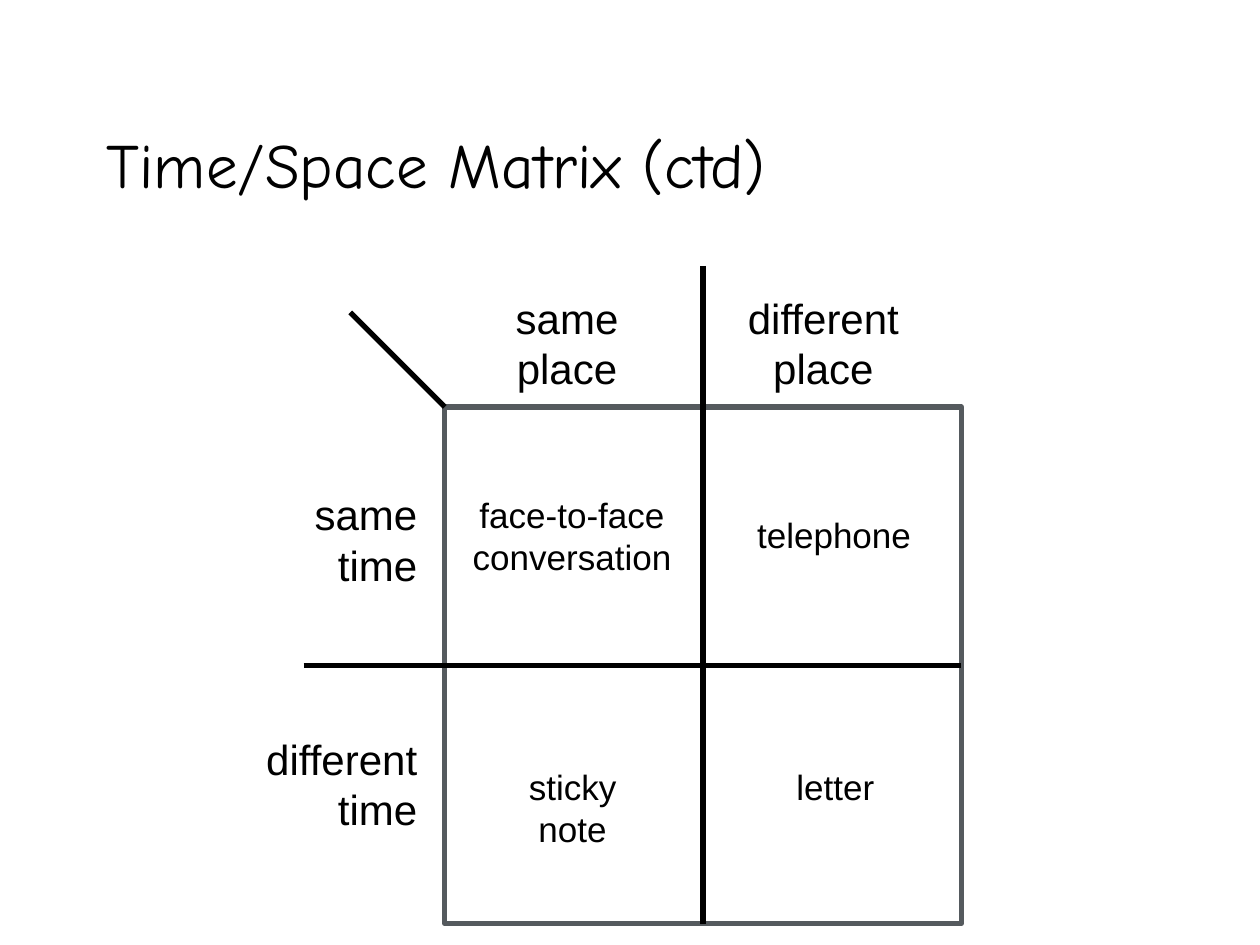
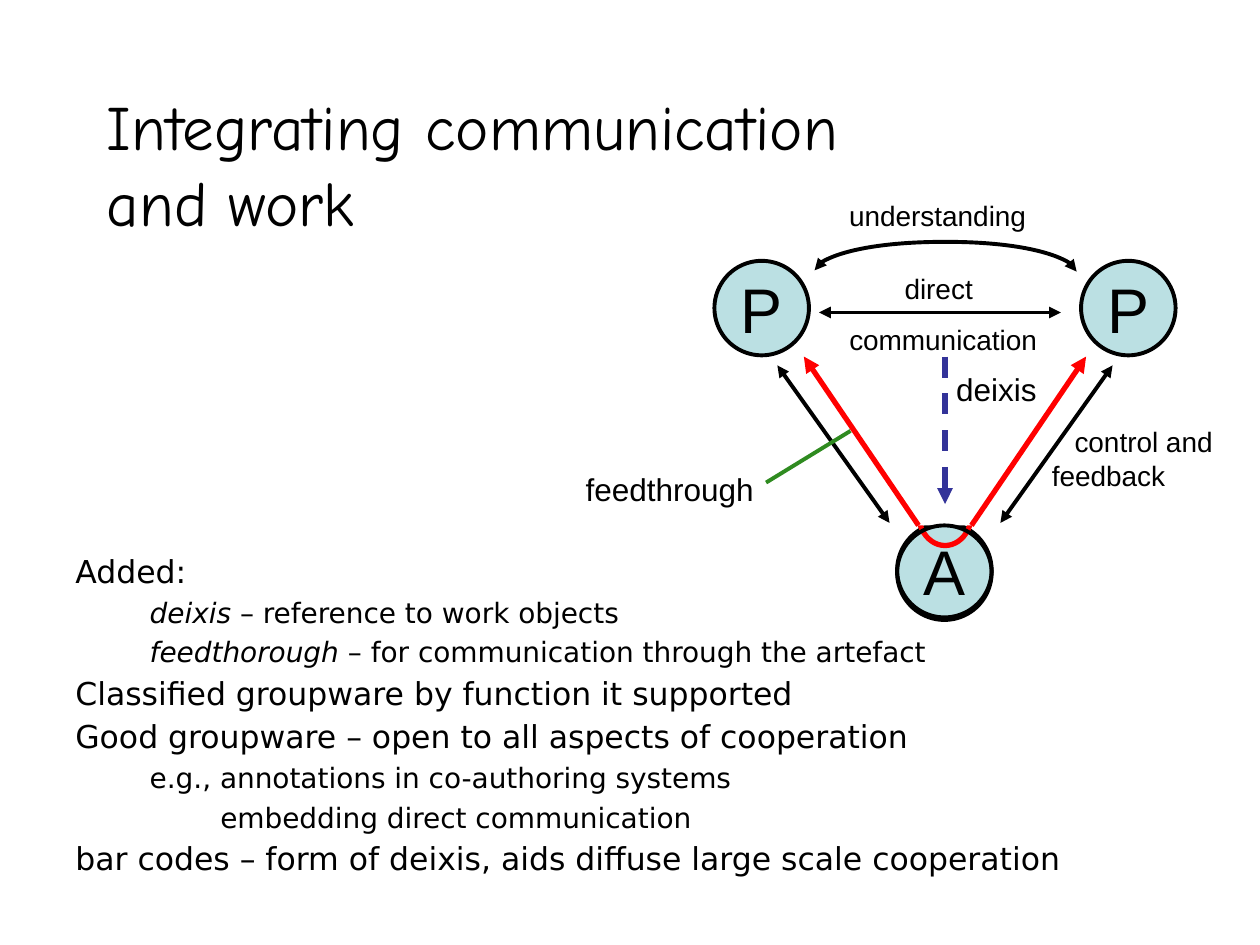
"""Builds two slides on groupware: the time/space matrix and communication with work."""
from lxml import etree
from pptx import Presentation
from pptx.dml.color import RGBColor
from pptx.enum.dml import MSO_LINE
from pptx.enum.shapes import MSO_CONNECTOR as CONN, MSO_SHAPE as SHAPE
from pptx.enum.text import MSO_ANCHOR as ANCHOR, MSO_AUTO_SIZE as AUTO, PP_ALIGN as ALIGN
from pptx.oxml.ns import qn
from pptx.util import Emu, Pt

EMU_PER_PX = 9144
BLACK, WHITE, RED = "000000", "FFFFFF", "FF0000"
GREY, AQUA, NAVY, GREEN = "555A5E", "BBE0E3", "333399", "2F8B20"
TITLE_FONT, BODY_FONT, LABEL_FONT = "Comic Neue", "DejaVu Sans", "Arial"
LEFT, CENTER, RIGHT = ALIGN.LEFT, ALIGN.CENTER, ALIGN.RIGHT


def px(*lengths):
    """Turn px lengths into EMU."""
    return [Emu(n * EMU_PER_PX) for n in lengths]


def rgb(color):
    """Turn a hex string into a colour."""
    return RGBColor.from_string(color)


def add_text(p, text, size, font=LABEL_FONT, italic=False):
    """Add text to a paragraph, one run for each line."""
    for i, line in enumerate(text.split("\n")):
        if i:
            p.add_line_break()
        r = p.add_run()
        r.text = line
        r.font.size, r.font.name = Pt(size), font
        r.font.italic = italic
        r.font.color.rgb = rgb(BLACK)


def indent(p, first):
    """Indent the first line of a paragraph."""
    pPr = p._p.get_or_add_pPr()
    pPr.set("marL", "0")
    pPr.set("indent", str(px(first)[0]))


def add_title(slide, text):
    """Add the slide title."""
    tf = slide.shapes.add_textbox(*px(75, 67, 750, 125)).text_frame
    tf.word_wrap = True
    tf.vertical_anchor = ANCHOR.MIDDLE
    add_text(tf.paragraphs[0], text, 36, TITLE_FONT)


def add_label(slide, text, box, size, align=CENTER):
    """Add a label that does not wrap and return its paragraph."""
    tf = slide.shapes.add_textbox(*px(*box)).text_frame
    tf.word_wrap = False
    tf.auto_size = AUTO.SHAPE_TO_FIT_TEXT
    p = tf.paragraphs[0]
    p.alignment = align
    add_text(p, text, size)
    return p


def add_shape(slide, kind, box, fill=None, line=None, weight=2.25):
    """Add a preset shape with an optional fill and outline."""
    sp = slide.shapes.add_shape(kind, *px(*box))
    sp.shadow.inherit = False
    if fill:
        sp.fill.solid()
        sp.fill.fore_color.rgb = rgb(fill)
    else:
        sp.fill.background()
    if line:
        sp.line.color.rgb = rgb(line)
        sp.line.width = Pt(weight)
    else:
        sp.line.fill.background()
    return sp


def add_node(slide, letter, left, top):
    """Add a lettered circle."""
    sp = add_shape(slide, SHAPE.OVAL, (left, top, 75, 75), AQUA, BLACK)
    tf = sp.text_frame
    tf.word_wrap = False
    tf.vertical_anchor = ANCHOR.MIDDLE
    p = tf.paragraphs[0]
    p.alignment = CENTER
    add_text(p, letter, 36)


def add_line(slide, ends, color=BLACK, weight=2.25, arrows=(), kind=CONN.STRAIGHT):
    """Add a connector with arrowheads at the ends named in arrows."""
    cxn = slide.shapes.add_connector(kind, *px(*ends))
    cxn.line.color.rgb = rgb(color)
    cxn.line.width = Pt(weight)
    ln = cxn.line._get_or_add_ln()
    for end in arrows:
        etree.SubElement(ln, qn(f"a:{end}End")).set("type", "triangle")
    etree.SubElement(cxn._element.spPr, qn("a:effectLst"))
    return cxn


def add_arch(slide, left, right, base, rise):
    """Add a two-headed curve that rises over a level base."""
    middle, half = (left + right) // 2, (right - left) // 2
    cxn = add_line(slide, (middle, base + half, middle + 1, base - half),
                   arrows=("head", "tail"), kind=CONN.CURVE)
    spPr = cxn._element.spPr
    spPr.find(qn("a:xfrm")).set("rot", "5400000")
    geom = spPr.find(qn("a:prstGeom"))
    guides = geom.find(qn("a:avLst"))
    if guides is None:
        guides = etree.SubElement(geom, qn("a:avLst"))
    guide = etree.SubElement(guides, qn("a:gd"))
    guide.set("name", "adj1")
    guide.set("fmla", f"val {-rise * 100000}")


def add_outline(slide, box, items):
    """Add indented paragraphs given as (indent, size, italic lead, text)."""
    tf = slide.shapes.add_textbox(*px(*box)).text_frame
    tf.word_wrap = True
    for i, (first, size, lead, text) in enumerate(items):
        p = tf.add_paragraph() if i else tf.paragraphs[0]
        indent(p, first)
        if i:
            p.space_before = Pt(3.25)
        if lead:
            add_text(p, lead, size, BODY_FONT, italic=True)
        add_text(p, text, size, BODY_FONT)


def build_matrix(slide):
    """Draw the time/space matrix."""
    frame = add_shape(slide, SHAPE.RECTANGLE, (353, 323, 410, 410), WHITE, GREY, 3)
    add_line(slide, (241, 528, 763, 528), weight=3).end_connect(frame, 3)
    add_line(slide, (558, 211, 558, 733), weight=3).end_connect(frame, 2)
    add_line(slide, (353, 323, 278, 248), weight=3)
    add_title(slide, "Time/Space Matrix (ctd)")
    for text, box, align in (
            ("different\nplace", (583, 227, 141, 90), CENTER),
            ("same\nplace", (399, 227, 102, 90), CENTER),
            ("same\ntime", (239, 383, 102, 90), RIGHT),
            ("different\ntime", (200, 577, 141, 90), RIGHT)):
        add_label(slide, text, box, 24, align)
    for text, box in (
            ("face-to-face\nconversation", (365, 387, 178, 77)),
            ("telephone", (591, 403, 142, 43)),
            ("sticky\nnote", (376, 603, 157, 77)),
            ("letter", (622, 603, 82, 43))):
        add_label(slide, text, box, 20)


def build_cooperation(slide):
    """Draw the cooperation triangle and the points below it."""
    add_title(slide, "Integrating communication\nand work")
    add_outline(slide, (50, 433, 850, 300), (
        (0, 18, "", "Added:"),
        (59, 16, "deixis", " – reference to work objects"),
        (59, 16, "feedthorough", " – for communication through the artefact"),
        (0, 18, "", "Classified groupware by function it supported"),
        (0, 18, "", "Good groupware – open to all aspects of cooperation"),
        (59, 16, "", "e.g., annotations in co-authoring systems"),
        (115, 16, "", "embedding direct communication"),
        (0, 18, "", "bar codes – form of deixis, aids diffuse large scale cooperation")))
    axis, both = 750, ("head", "tail")
    for letter, left, top in (("P", 567, 207), ("P", 858, 207), ("A", 712, 415)):
        add_node(slide, letter, left, top)
    for side in (-1, 1):
        add_line(slide, (axis + side * 133, 290, axis + side * 44, 415), arrows=both)
    add_line(slide, (842, 248, 650, 248), arrows=both)
    add_arch(slide, 646, 854, 215, 23)

    p = add_label(slide, "control and\nfeedback", (825, 332, 150, 64), 16, LEFT)
    indent(p, 18)
    add_label(slide, "communication", (664, 251, 169, 37), 16)
    add_label(slide, "understanding", (664, 153, 161, 37), 16, LEFT)
    add_label(slide, "direct", (708, 211, 74, 37), 16)
    add_label(slide, "deixis", (749, 292, 84, 37), 18, LEFT).line_spacing = 0.9
    add_label(slide, "feedthrough", (455, 368, 170, 40), 18, LEFT)

    add_shape(slide, SHAPE.OVAL, (729, 383, 42, 50), line=RED, weight=3)
    add_shape(slide, SHAPE.RECTANGLE, (712, 367, 75, 50), WHITE)
    for side in (1, -1):
        add_line(slide, (axis + side * 112, 283, axis + side * 21, 417), RED, 3, ("head",))
    add_shape(slide, SHAPE.OVAL, (712, 417, 75, 75), line=BLACK)
    pointer = add_line(slide, (axis, 283, axis, 400), NAVY, 3, ("tail",))
    pointer.line.dash_style = MSO_LINE.DASH
    add_line(slide, (675, 342, 608, 383), GREEN)


def main():
    """Build both slides and save them."""
    prs = Presentation()
    prs.slide_width, prs.slide_height = px(1000, 750)
    for build in (build_matrix, build_cooperation):
        build(prs.slides.add_slide(prs.slide_layouts[6]))
    prs.save("out.pptx")


if __name__ == "__main__":
    main()
